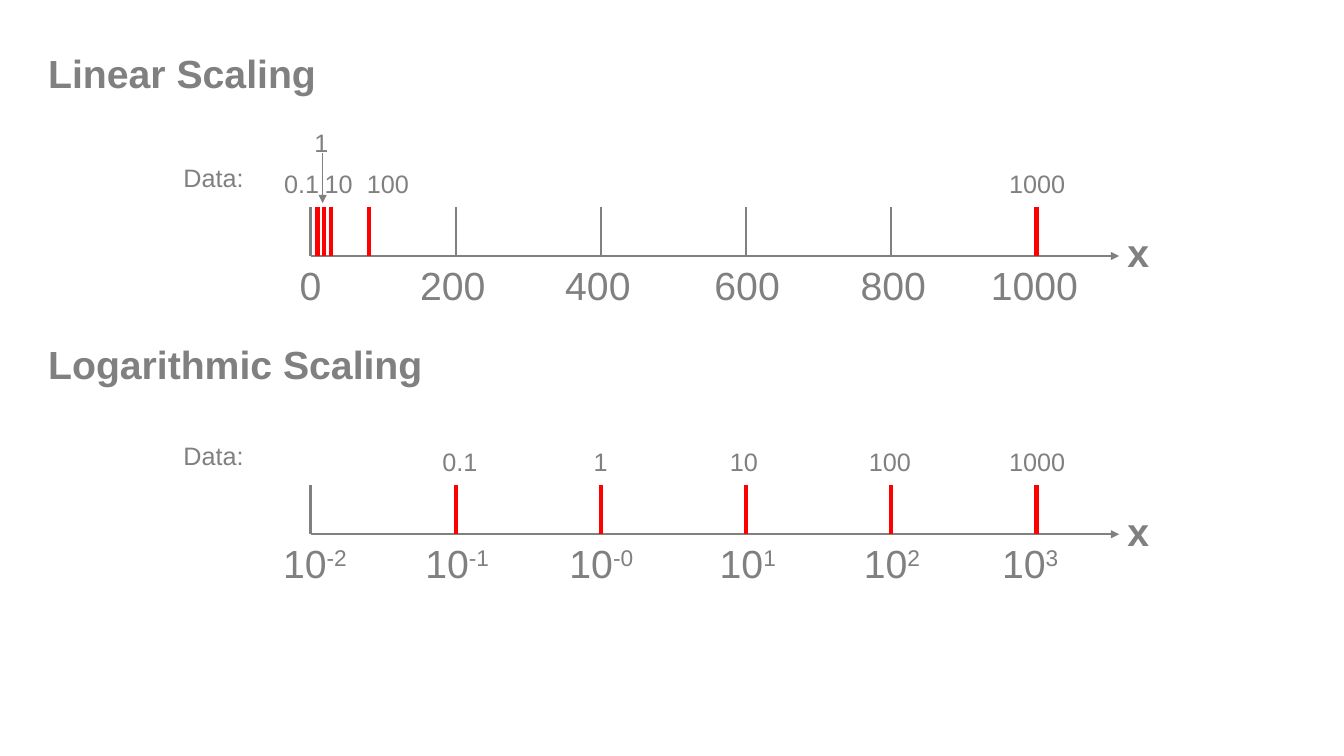
from lxml.etree import SubElement
from pptx import Presentation
from pptx.dml.color import RGBColor
from pptx.enum.shapes import MSO_CONNECTOR as Conn
from pptx.enum.text import MSO_AUTO_SIZE as AutoSize, PP_ALIGN as Align
from pptx.oxml.ns import qn
from pptx.util import Inches, Pt

COLORS = {"gray": "808080", "red": "FF0000"}
FONT = "Arial"
BIG, SMALL = 28, 18
BIG_H, SMALL_H = 0.57, 0.4

# Axis grid: six ticks at equal steps, measured from the panel's left edge
AXIS_X, STEP, AXIS_W = 2.7, 1.44, 8.02
TICK_H = 0.485
TICKS = [AXIS_X + STEP * i for i in range(6)]


def add_line(slide, x1, y1, x2, y2, color="gray", width=1.5, arrow=False):
    ln = slide.shapes.add_connector(
        Conn.STRAIGHT, Inches(x1), Inches(y1), Inches(x2), Inches(y2))
    ln.line.color.rgb = RGBColor.from_string(COLORS[color])
    ln.line.width = Pt(width)
    if arrow:
        SubElement(ln.line._get_or_add_ln(), qn("a:tailEnd"), type="triangle")
    SubElement(ln._element.spPr, qn("a:effectLst"))


def add_text(slide, x, y, w, text, size=BIG, power="", bold=False,
             align=Align.LEFT):
    h = BIG_H if size == BIG else SMALL_H
    tb = slide.shapes.add_textbox(Inches(x), Inches(y), Inches(w), Inches(h))
    tf = tb.text_frame
    tf.word_wrap = size == BIG
    tf.auto_size = AutoSize.SHAPE_TO_FIT_TEXT
    p = tf.paragraphs[0]
    p.alignment = align
    for part in filter(None, (text, power)):
        r = p.add_run()
        r.text = part
        r.font.name, r.font.size, r.font.bold = FONT, Pt(size), bold
        r.font.color.rgb = RGBColor.from_string(COLORS["gray"])
    if power:
        r._r.get_or_add_rPr().set("baseline", "30000")


def data_width(text):
    """Width of a small number: side insets, digits and decimal points."""
    dots = text.count(".")
    return 0.2 + 0.14 * (len(text) - dots) + 0.07 * dots


def scale_panel(slide, left, top, axis_drop, title, scale_labels, data):
    """Titled axis; positions in scale_labels and data start at left."""
    axis_y = top + axis_drop
    tick_y = axis_y - TICK_H

    # Title and row caption
    add_text(slide, left, top, 6.29, title, bold=True)
    add_text(slide, left + 1.34, axis_y - 0.98, 0.81, "Data:", SMALL)

    # Axis with its ticks
    add_line(slide, left + AXIS_X, axis_y, left + AXIS_X + AXIS_W, axis_y,
             arrow=True)
    for x in TICKS:
        add_line(slide, left + x, tick_y, left + x, axis_y)
    add_text(slide, left + AXIS_X + AXIS_W - 0.02, axis_y - 0.32, 0.42, "x",
             bold=True, align=Align.CENTER)

    # Numbers under the axis
    for text, power, x, w in scale_labels:
        add_text(slide, left + x, axis_y, w, text, power=power,
                 align=Align.LEFT if power else Align.CENTER)

    # Data marks and their values; a raised value points down with an arrow
    for text, mark_x, label_x, raised in data:
        add_line(slide, left + mark_x, tick_y, left + mark_x, axis_y, "red", 3)
        label_y = axis_y - 0.92 - raised
        add_text(slide, left + label_x, label_y, data_width(text), text, SMALL)
        if raised:
            add_line(slide, left + mark_x - 0.01, label_y + 0.31,
                     left + mark_x - 0.01, tick_y - 0.04, width=0.25,
                     arrow=True)


def main():
    prs = Presentation()
    prs.slide_width, prs.slide_height = Inches(13.33), Inches(7.5)
    slide = prs.slides.add_slide(prs.slide_layouts[6])

    # Linear: text, power, left, width / text, mark, label, raise
    linear_labels = [
        ("0", "", 2.49, 0.42), ("200", "", 3.56, 1.1), ("400", "", 5.12, 0.86),
        ("600", "", 6.49, 1.08), ("800", "", 7.94, 1.08),
        ("1000", "", 9.31, 1.14)]
    linear_data = [
        ("0.1", 2.77, 2.34, 0), ("1", 2.83, 2.64, 0.41), ("10", 2.9, 2.74, 0),
        ("100", 3.28, 3.16, 0), ("1000", TICKS[5], 9.53, 0)]
    scale_panel(slide, 0.38, 0.44, 2.1, "Linear Scaling",
                linear_labels, linear_data)

    # Logarithmic: each data value sits on a tick
    powers = zip(["-2", "-1", "-0", "1", "2", "3"],
                 [2.33, 3.74, 5.17, 6.66, 8.09, 9.46])
    log_labels = [("10", power, x, 0.96) for power, x in powers]
    values = zip(["0.1", "1", "10", "100", "1000"], TICKS[1:],
                 [3.91, 5.41, 6.76, 8.14, 9.53])
    log_data = [(text, mark, label, 0) for text, mark, label in values]
    scale_panel(slide, 0.38, 3.33, 1.97, "Logarithmic Scaling",
                log_labels, log_data)

    prs.save("out.pptx")


if __name__ == "__main__":
    main()
